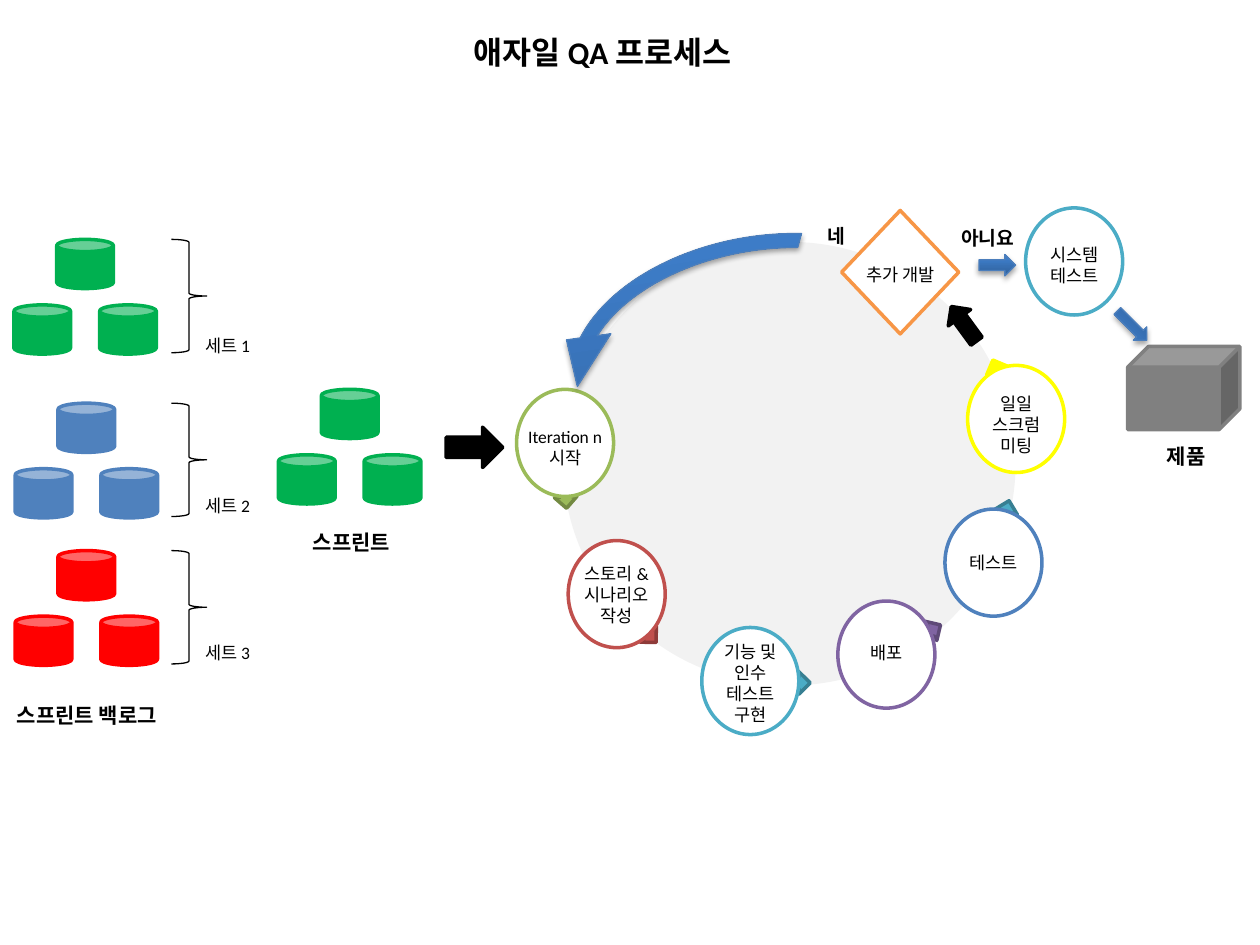
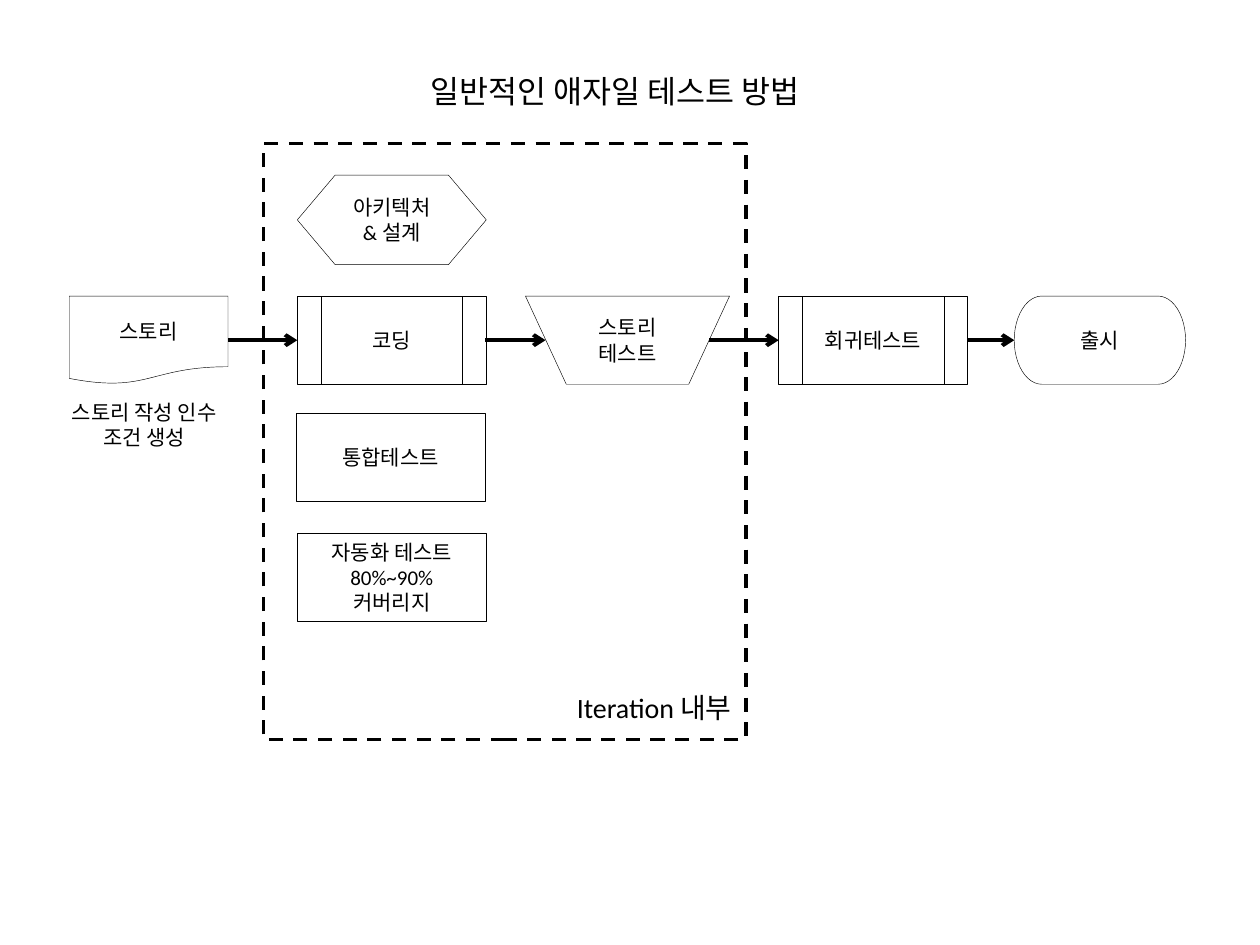
from copy import deepcopy
from dataclasses import dataclass

from lxml.etree import SubElement
from pptx import Presentation
from pptx.dml.color import RGBColor
from pptx.enum.dml import MSO_LINE
from pptx.enum.shapes import MSO_CONNECTOR, MSO_SHAPE
from pptx.enum.text import MSO_ANCHOR, MSO_AUTO_SIZE, PP_ALIGN
from pptx.oxml.ns import qn
from pptx.util import Inches, Pt

# Shared style
FONT = "Calibri"
BLACK = RGBColor(0, 0, 0)
WHITE = RGBColor(255, 255, 255)
PALE = RGBColor(0xF2, 0xF2, 0xF2)
GRAY = RGBColor(0x80, 0x80, 0x80)
GREEN = RGBColor(0x00, 0xB0, 0x50)
RED = RGBColor(0xFF, 0, 0)
YELLOW = RGBColor(0xFF, 0xFF, 0)
BLUE = RGBColor(0x4F, 0x81, 0xBD)
TEAL = RGBColor(0x4B, 0xAC, 0xC6)
PURPLE = RGBColor(0x80, 0x64, 0xA2)
BRICK = RGBColor(0xC0, 0x50, 0x4D)
LIME = RGBColor(0x9B, 0xBB, 0x59)
ORANGE = RGBColor(0xF7, 0x96, 0x46)
EDGE = RGBColor(0x4B, 0x7E, 0xBC)
BLEND = [(0, RGBColor(0x2F, 0x5F, 0x99)), (0.8, RGBColor(0x3D, 0x7C, 0xC7)),
         (1, RGBColor(0x3A, 0x7C, 0xCB))]
CENTER, LEFT = PP_ALIGN.CENTER, PP_ALIGN.LEFT
Box = tuple[float, float, float, float]


@dataclass
class Tip:
    """Small arrow on the edge of the ring."""
    x: float
    y: float
    turn: float
    color: RGBColor
    edge: RGBColor


@dataclass
class Step:
    """Round stage of the cycle with its caption."""
    x: float
    y: float
    color: RGBColor
    text: str
    top: float
    rows: int


@dataclass
class Label:
    box: Box
    text: str
    size: float
    bold: bool = False
    align: PP_ALIGN = CENTER


@dataclass
class Node:
    """Flow chart shape with text."""
    kind: MSO_SHAPE
    box: Box
    text: str


def place(shape, box: Box) -> None:
    shape.left, shape.top, shape.width, shape.height = map(Inches, box)


def write(shape, text: str, size: float, bold: bool = False,
          align: PP_ALIGN = CENTER, anchor: MSO_ANCHOR = MSO_ANCHOR.TOP) -> None:
    frame = shape.text_frame
    frame.text = text
    frame.word_wrap = True
    frame.auto_size = MSO_AUTO_SIZE.NONE
    frame.vertical_anchor = anchor
    for para in frame.paragraphs:
        para.alignment = align
        for run in para.runs:
            run.font.name = FONT
            run.font.size = Pt(size)
            run.font.bold = bold
            run.font.color.rgb = BLACK


def head(deck, box: Box, text: str, bold: bool, align: PP_ALIGN):
    """Add a slide with its title."""
    slide = deck.slides.add_slide(deck.slide_layouts[5])
    place(slide.shapes.title, box)
    write(slide.shapes.title, text, 18, bold, align)
    return slide


def note(slide, label: Label) -> None:
    box = slide.shapes.add_textbox(*map(Inches, label.box))
    write(box, label.text, label.size, label.bold, label.align)


def draw(slide, kind: MSO_SHAPE, box: Box, fill: RGBColor | None,
         line: RGBColor | None, width: float = 2, turn: float = 0):
    shape = slide.shapes.add_shape(kind, *map(Inches, box))
    shape.shadow.inherit = False
    shape.rotation = turn
    if fill is None:
        shape.fill.background()
    else:
        shape.fill.solid()
        shape.fill.fore_color.rgb = fill
    if line is None:
        shape.line.fill.background()
    else:
        shape.line.color.rgb = line
        shape.line.width = Pt(width)
    return shape


def glow(slide, kind: MSO_SHAPE, box: Box, turn: float = 0, flip: bool = False):
    """Draw a blue arrow with a gradient and a soft shadow."""
    shape = draw(slide, kind, box, BLUE, EDGE, 0.75, turn)
    shape.fill.gradient()
    shape.fill.gradient_angle = 90
    props = shape._element.spPr
    stops = props.find(".//" + qn("a:gsLst"))
    stops.append(deepcopy(stops[-1]))
    for stop, (spot, color) in zip(shape.fill.gradient_stops, BLEND):
        stop.position = spot
        stop.color.rgb = color
    if flip:
        props.find(qn("a:xfrm")).set("flipH", "1")
    cast = SubElement(props.find(qn("a:effectLst")), qn("a:outerShdw"),
                      blurRad=str(Pt(3.1)), dist=str(Pt(1.8)),
                      dir="5400000", rotWithShape="0")
    tone = SubElement(cast, qn("a:srgbClr"), val="000000")
    SubElement(tone, qn("a:alpha"), val="35000")
    return shape


def stack(slide, x: float, y: float, color: RGBColor) -> None:
    """Draw three cans: one above two."""
    for dx, dy in ((0.34, 0), (0.68, 0.52), (0, 0.52)):
        draw(slide, MSO_SHAPE.CAN, (x + dx, y + dy, 0.45, 0.39), color, color)


def link(slide, start: float, end: float, y: float) -> None:
    line = slide.shapes.add_connector(
        MSO_CONNECTOR.STRAIGHT, Inches(start), Inches(y), Inches(end), Inches(y))
    line.line.color.rgb = BLACK
    line.line.width = Pt(2.25)
    props = line._element.spPr
    SubElement(props.find(qn("a:ln")), qn("a:tailEnd"), type="arrow")
    SubElement(props, qn("a:effectLst"))


TIPS = [
    Tip(7.69, 3.05, 247.9, YELLOW, YELLOW),
    Tip(7.63, 4.18, 284, TEAL, RGBColor(0x37, 0x7F, 0x92)),
    Tip(6.9, 5.03, 328.2, PURPLE, RGBColor(0x5F, 0x4A, 0x78)),
    Tip(5.82, 5.33, 0, TEAL, RGBColor(0x37, 0x7F, 0x92)),
    Tip(4.69, 4.79, 45.9, BRICK, RGBColor(0x8E, 0x3B, 0x39)),
    Tip(4.17, 3.64, 86, LIME, RGBColor(0x73, 0x8A, 0x42)),
]
STEPS = [
    Step(4.1, 3.09, LIME, "Iteration n 시작", 3.33, 2),
    Step(4.51, 4.29, BRICK, "스토리 & 시나리오 작성", 4.42, 3),
    Step(5.57, 4.98, TEAL, "기능 및 인수 테스트 구현", 5.04, 4),
    Step(6.65, 4.77, PURPLE, "배포", 5.05, 1),
    Step(7.5, 4.04, BLUE, "테스트", 4.33, 1),
    Step(7.68, 2.9, YELLOW, "일일 스크럼 미팅", 3.07, 3),
    Step(8.14, 1.65, TEAL, "시스템 테스트", 1.89, 2),
]
SETS = [(0.11, 1.9, GREEN, 2.61), (0.12, 3.2, BLUE, 3.88), (0.12, 4.37, RED, 5.05)]
LABELS = [
    Label((2.32, 4.15, 0.94, 0.3), "스프린트", 12, True),
    Label((-0.16, 5.53, 1.7, 0.3), "스프린트 백로그", 12, True),
    Label((6.68, 2.05, 0.93, 0.27), "추가 개발", 10),
    Label((6.18, 1.73, 0.92, 0.29), "네", 11, True),
    Label((7.38, 1.75, 0.92, 0.29), "아니요", 11, True),
    Label((8.99, 3.47, 0.85, 0.3), "제품", 12, True),
]
ROW, TALL, WIDE = 2.35, 0.7, 1.5
NODES = [
    Node(MSO_SHAPE.FLOWCHART_DOCUMENT, (0.55, ROW, 1.26, TALL), "스토리"),
    Node(MSO_SHAPE.FLOWCHART_PREPARATION, (2.36, 1.39, WIDE, 0.71), "아키텍처 & 설계"),
    Node(MSO_SHAPE.FLOWCHART_PREDEFINED_PROCESS, (2.36, ROW, WIDE, TALL), "코딩"),
    Node(MSO_SHAPE.FLOWCHART_PROCESS, (2.35, 3.28, WIDE, TALL), "통합테스트"),
    Node(MSO_SHAPE.FLOWCHART_MANUAL_OPERATION, (4.17, ROW, 1.62, TALL), "스토리\n테스트"),
    Node(MSO_SHAPE.FLOWCHART_PREDEFINED_PROCESS, (6.18, ROW, WIDE, TALL), "회귀테스트"),
    Node(MSO_SHAPE.FLOWCHART_TERMINATOR, (8.05, ROW, 1.36, TALL), "출시"),
    Node(MSO_SHAPE.FLOWCHART_PROCESS, (2.36, 4.23, WIDE, TALL),
         "자동화 테스트\n80%~90% 커버리지"),
]
LINKS = [(1.81, 2.36), (3.85, 4.33), (5.63, 6.18), (7.68, 8.05)]


def cycle(deck) -> None:
    """Slide 1: the QA process."""
    slide = head(deck, (3.66, 0.21, 2.44, 0.4), "애자일 QA 프로세스", True, LEFT)
    # Ring and its arrows
    draw(slide, MSO_SHAPE.OVAL, (4.47, 1.92, 3.59, 3.52), PALE, None)
    for tip in TIPS:
        draw(slide, MSO_SHAPE.RIGHT_ARROW, (tip.x, tip.y, 0.61, 0.18),
             tip.color, tip.edge, turn=tip.turn)
    # Backlog sets and the chosen sprint
    for num, (x, y, color, top) in enumerate(SETS, 1):
        stack(slide, x, y, color)
        draw(slide, MSO_SHAPE.RIGHT_BRACE, (1.36, y, 0.28, 0.9), None, BLACK, 0.75)
        note(slide, Label((1.53, top, 0.68, 0.27), f"세트 {num}", 10, align=LEFT))
    stack(slide, 2.21, 3.09, GREEN)
    draw(slide, MSO_SHAPE.RIGHT_ARROW, (3.54, 3.39, 0.45, 0.32), BLACK, BLACK)
    # Stages
    for step in STEPS:
        draw(slide, MSO_SHAPE.OVAL, (step.x, step.y, 0.77, 0.85), WHITE, step.color)
        high = 0.27 + 0.17 * (step.rows - 1)
        note(slide, Label((step.x - 0.02, step.top, 0.81, high), step.text, 10))
    # Decision and product
    draw(slide, MSO_SHAPE.RIGHT_ARROW, (7.48, 2.46, 0.34, 0.22), BLACK, BLACK, turn=233.8)
    draw(slide, MSO_SHAPE.FLOWCHART_DECISION, (6.68, 1.67, 0.93, 0.98), WHITE, ORANGE)
    draw(slide, MSO_SHAPE.CUBE, (8.95, 2.75, 0.89, 0.66), GRAY, GRAY)
    glow(slide, MSO_SHAPE.RIGHT_ARROW, (7.77, 2.02, 0.29, 0.17))
    glow(slide, MSO_SHAPE.RIGHT_ARROW, (8.82, 2.51, 0.33, 0.15), 225, True)
    for label in LABELS:
        note(slide, label)
    # Way back to the start
    back = glow(slide, MSO_SHAPE.CIRCULAR_ARROW, (4.39, 1.75, 3.38, 2.22), 350.9, True)
    for i, value in enumerate((0.05, 9.24, 206.01, 147.17, 0.08)):
        back.adjustments[i] = value


def flow(deck) -> None:
    """Slide 2: the usual test method."""
    slide = head(deck, (0.98, 0.52, 7.8, 0.4), "일반적인 애자일 테스트 방법", False, CENTER)
    # Iteration frame
    frame = draw(slide, MSO_SHAPE.RECTANGLE, (2.09, 1.14, 3.83, 4.73), WHITE, BLACK)
    frame.line.dash_style = MSO_LINE.DASH
    note(slide, Label((0.35, 3.12, 1.59, 0.5), "스토리 작성 인수 조건 생성", 12))
    note(slide, Label((4.48, 5.43, 1.83, 0.37), "Iteration 내부", 16, align=LEFT))
    # Flow
    for node in NODES:
        shape = draw(slide, node.kind, node.box, WHITE, BLACK, 0.25)
        write(shape, node.text, 12, anchor=MSO_ANCHOR.MIDDLE)
    for start, end in LINKS:
        link(slide, start, end, ROW + TALL / 2)


deck = Presentation()
deck.slide_width, deck.slide_height = Inches(10), Inches(7.5)
cycle(deck)
flow(deck)
deck.save("out.pptx")
